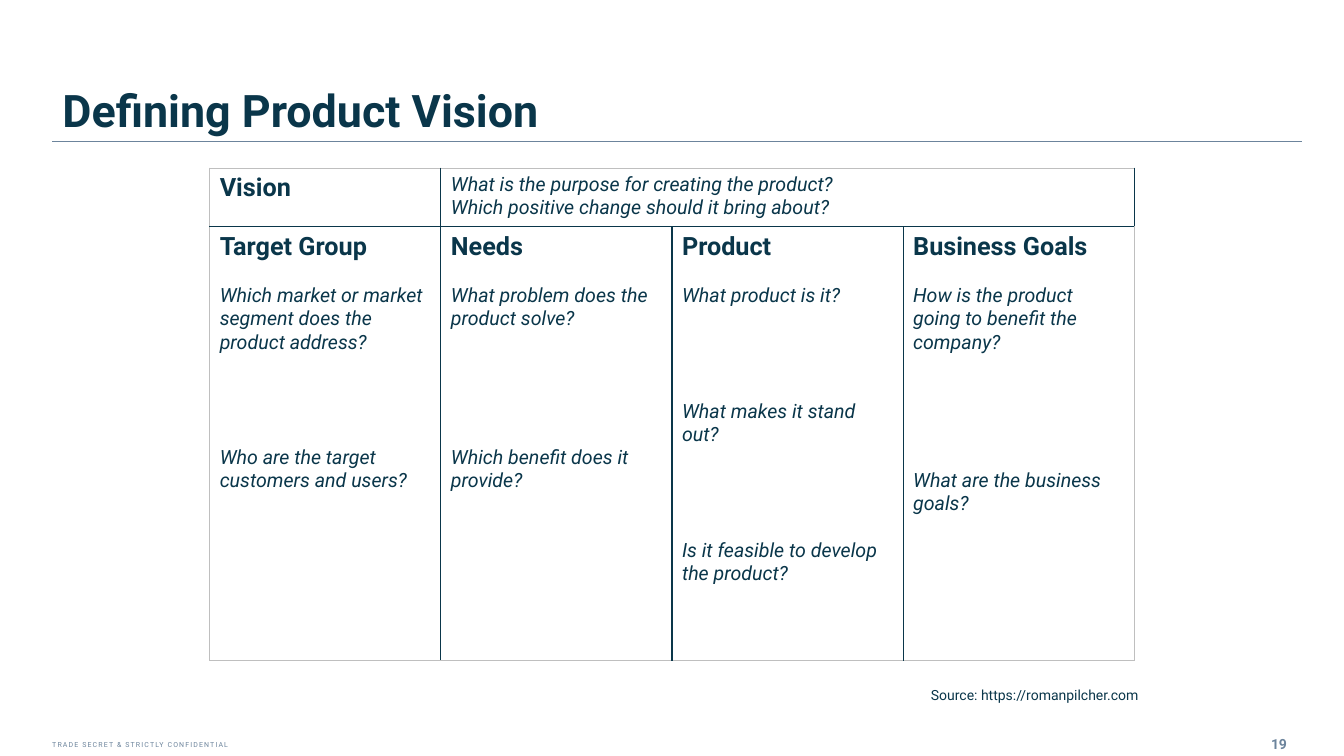
from dataclasses import dataclass

from lxml.etree import SubElement
from pptx import Presentation
from pptx.dml.color import RGBColor
from pptx.enum.shapes import MSO_CONNECTOR as Connector
from pptx.enum.text import MSO_ANCHOR as Anchor, MSO_AUTO_SIZE as AutoSize, PP_ALIGN as Align
from pptx.oxml.ns import qn
from pptx.slide import Slide
from pptx.table import _Cell as Cell
from pptx.text.text import TextFrame
from pptx.util import Inches, Length, Pt

WIDTH, HEIGHT = Inches(13.33), Inches(7.5)


@dataclass(frozen=True)
class Theme:
    font: str = "Roboto"
    ink: str = "0A364A"
    muted: str = "6C849C"
    frame: str = "BFBFBF"
    title: float = 32
    heading: float = 18
    question: float = 14
    note: float = 10
    footer: float = 5
    text_line: float = 16.5
    thin: float = 0.25
    border: float = 1


@dataclass(frozen=True)
class Area:
    """A rectangle in percent of the slide's width and height."""
    left: float
    top: float
    width: float
    height: float

    def box(self) -> tuple[Length, Length, Length, Length]:
        return across(self.left), down(self.top), across(self.width), down(self.height)


@dataclass(frozen=True)
class Question:
    text: str
    lines_before: int = 0


@dataclass(frozen=True)
class Topic:
    heading: str
    questions: tuple[Question, ...]


THEME = Theme()
TITLE_AREA = Area(3.9, 9.87, 92.95, 8.8)
BOARD_AREA = Area(15.6, 22.27, 68.8, 65.06)
FOOTER_AREA = Area(3.15, 97.33, 19.5, 2.4)
NUMBER_AREA = Area(93.7, 96.67, 2.93, 3.6)
SOURCE_AREA = Area(67.89, 90.13, 17.55, 3.6)
VISION_HEIGHT = 7.73

VISION = ("What is the purpose for creating the product?",
          "Which positive change should it bring about?")
TOPICS = (
    Topic("Target Group", (
        Question("Which market or market segment does the product address?", 1),
        Question("Who are the target customers and users?", 4))),
    Topic("Needs", (
        Question("What problem does the product solve?", 1),
        Question("Which benefit does it provide?", 5))),
    Topic("Product", (
        Question("What product is it?", 1),
        Question("What makes it stand out?", 4),
        Question("Is it feasible to develop the product?", 4))),
    Topic("Business Goals", (
        Question("How is the product going to benefit the company?", 1),
        Question("What are the business goals?", 5))),
)


def across(percent: float) -> Length:
    return Length(round(WIDTH * percent / 100))


def down(percent: float) -> Length:
    return Length(round(HEIGHT * percent / 100))


def write(frame: TextFrame, text: str, *, size: float, color: str = THEME.ink,
          bold: bool = False, italic: bool = False, align: Align = Align.LEFT,
          lines_before: int = 0, tracking: int = 0) -> None:
    """Fill the frame's empty first paragraph, or append another one."""
    first = frame.paragraphs[0]
    paragraph = frame.add_paragraph() if first.runs else first
    paragraph.alignment = align
    if lines_before:
        paragraph.space_before = Pt(lines_before * THEME.text_line)
    run = paragraph.add_run()
    run.text = text
    font = run.font
    font.name, font.size, font.bold, font.italic = THEME.font, Pt(size), bold, italic
    font.color.rgb = RGBColor.from_string(color)
    if tracking:
        font._element.set("spc", str(tracking))


def add_text(slide: Slide, area: Area, *, wrap: bool = True) -> TextFrame:
    frame = slide.shapes.add_textbox(*area.box()).text_frame
    frame.word_wrap = wrap
    return frame


def add_title(slide: Slide) -> None:
    title = slide.shapes.title
    title.left, title.top, title.width, title.height = TITLE_AREA.box()
    frame = title.text_frame
    frame.auto_size, frame.vertical_anchor = AutoSize.NONE, Anchor.BOTTOM
    write(frame, "Defining Product Vision", size=THEME.title, bold=True)

    left, top, width, height = TITLE_AREA.box()
    rule = slide.shapes.add_connector(Connector.STRAIGHT, left, top + height,
                                      left + width, top + height)
    rule.line.color.rgb = RGBColor.from_string(THEME.muted)
    rule.line.width = Pt(THEME.thin)
    SubElement(rule._element.spPr, qn("a:effectLst"))


def set_borders(cell: Cell, colors: dict[str, str]) -> None:
    properties = cell._tc.get_or_add_tcPr()
    for position, (side, color) in enumerate(colors.items()):
        line = SubElement(properties, qn(f"a:ln{side}"), w=str(Pt(THEME.border)))
        fill = SubElement(line, qn("a:solidFill"))
        SubElement(fill, qn("a:srgbClr"), val=color)
        properties.insert(position, line)


def add_board(slide: Slide) -> None:
    table = slide.shapes.add_table(2, len(TOPICS), *BOARD_AREA.box()).table
    table.first_row = table.horz_banding = False
    table.rows[0].height = down(VISION_HEIGHT)
    table.rows[1].height = down(BOARD_AREA.height - VISION_HEIGHT)
    last = len(TOPICS) - 1
    for row in range(2):
        for column in range(len(TOPICS)):
            cell = table.cell(row, column)
            cell.fill.background()
            outer = {"L": column == 0, "R": column == last, "T": row == 0, "B": row == 1}
            set_borders(cell, {side: THEME.frame if edge else THEME.ink
                               for side, edge in outer.items()})

    write(table.cell(0, 0).text_frame, "Vision", size=THEME.heading, bold=True)
    purpose = table.cell(0, 1)
    purpose.merge(table.cell(0, last))
    set_borders(purpose, {})
    for text in VISION:
        write(purpose.text_frame, text, size=THEME.question, italic=True)
    for column, topic in enumerate(TOPICS):
        frame = table.cell(1, column).text_frame
        write(frame, topic.heading, size=THEME.heading, bold=True)
        for question in topic.questions:
            write(frame, question.text, size=THEME.question, italic=True,
                  lines_before=question.lines_before)


def add_notes(slide: Slide) -> None:
    """Add the source line, the confidentiality footer and the page number."""
    write(add_text(slide, SOURCE_AREA, wrap=False), "Source: https://romanpilcher.com",
          size=THEME.note, align=Align.RIGHT)
    write(add_text(slide, FOOTER_AREA), "TRADE SECRET & STRICTLY CONFIDENTIAL",
          size=THEME.footer, color=THEME.muted, tracking=80)
    write(add_text(slide, NUMBER_AREA), "19", size=THEME.note, color=THEME.muted,
          bold=True, align=Align.CENTER)


def main() -> None:
    presentation = Presentation()
    presentation.slide_width, presentation.slide_height = WIDTH, HEIGHT
    slide = presentation.slides.add_slide(presentation.slide_layouts.get_by_name("Title Only"))
    add_title(slide)
    add_board(slide)
    add_notes(slide)
    presentation.save("out.pptx")


if __name__ == "__main__":
    main()
